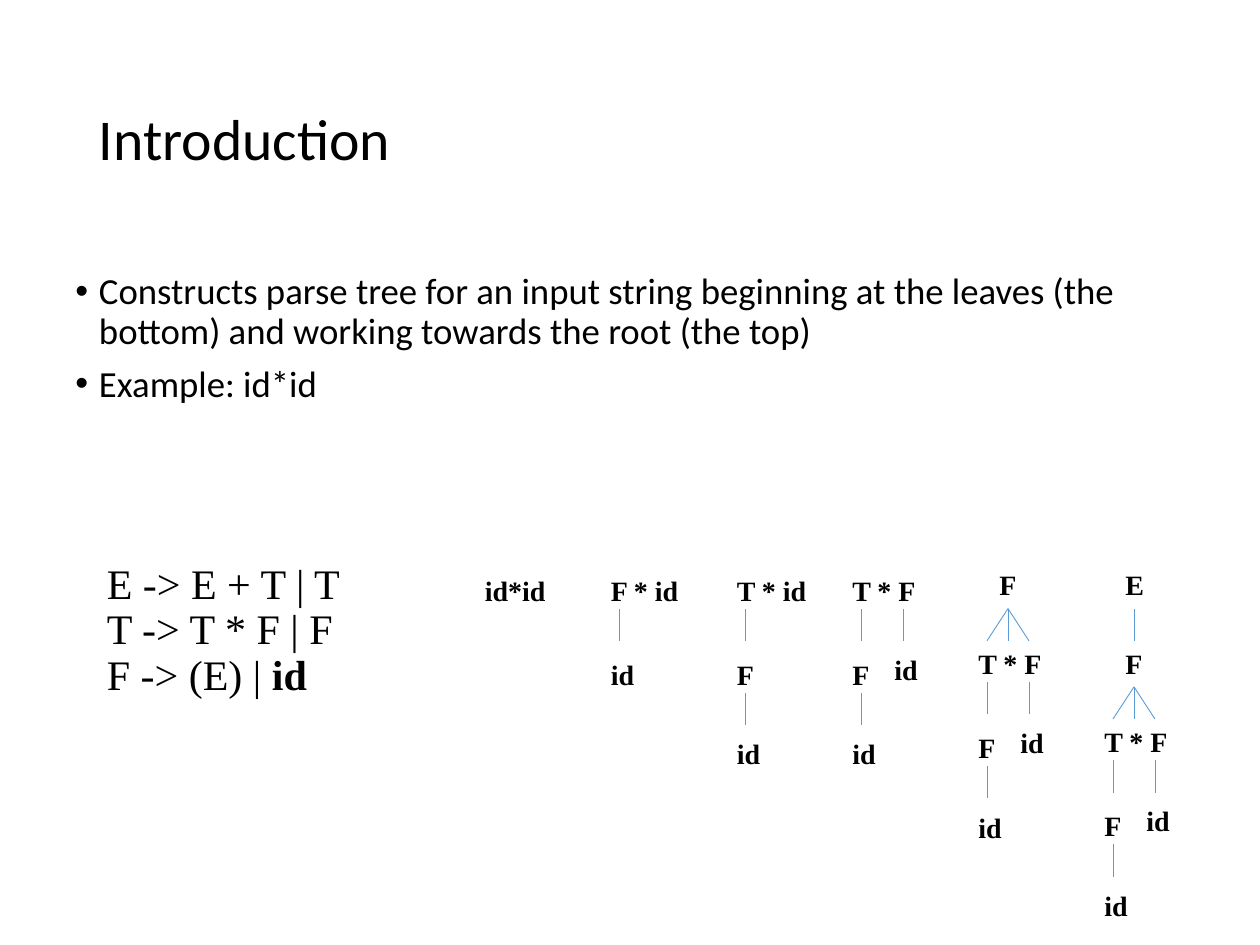
from dataclasses import dataclass

from lxml import etree
from pptx import Presentation
from pptx.dml.color import RGBColor
from pptx.enum.shapes import MSO_CONNECTOR
from pptx.enum.text import MSO_ANCHOR, MSO_AUTO_SIZE
from pptx.oxml.ns import qn
from pptx.util import Pt

STRAIGHT = MSO_CONNECTOR.STRAIGHT
TOP = MSO_ANCHOR.TOP
MIDDLE = MSO_ANCHOR.MIDDLE
FIT_SHAPE = MSO_AUTO_SIZE.SHAPE_TO_FIT_TEXT
FIT_NONE = MSO_AUTO_SIZE.NONE


@dataclass(frozen=True)
class Theme:
    """Colours, fonts and type sizes of the slide."""
    text: RGBColor = RGBColor(0x00, 0x00, 0x00)
    edge: RGBColor = RGBColor(0x5B, 0x9B, 0xD5)
    sans: str = "Calibri"
    serif: str = "Times New Roman"
    title_size: float = 33
    body_size: float = 21
    grammar_size: float = 24
    node_size: float = 16
    edge_width: float = 0.5


THEME = Theme()
NODE_HEIGHT = 26.6
NODE_WIDTHS = {"id": 27.7, "F": 24.2, "E": 25.1, "id*id": 54}
ROOT_WIDTH = 60
LEVELS = (0, 48, 93.6)
EDGE_DROP = 24
EDGE_LENGTH = 18.4
EDGE_INSET = 12
FAN_SPREAD = 12


def add_text(slide, paragraphs, left, top, width, height, *, font, size, bold=False,
             line_spacing=1.0, space_before=0, indent=0, bullet=None,
             anchor=TOP, wrap=True, auto_size=FIT_NONE):
    """Add a text box whose paragraphs are strings or lists of (text, bold) runs."""
    shape = slide.shapes.add_textbox(Pt(left), Pt(top), Pt(width), Pt(height))
    frame = shape.text_frame
    frame.word_wrap = wrap
    frame.auto_size = auto_size
    frame.vertical_anchor = anchor
    for index, content in enumerate(paragraphs):
        paragraph = frame.add_paragraph() if index else frame.paragraphs[0]
        paragraph.line_spacing = line_spacing
        paragraph.space_before = Pt(space_before if index else 0)
        if indent:
            set_hanging_indent(paragraph, indent, bullet)
        runs = [(content, bold)] if isinstance(content, str) else content
        for text, is_bold in runs:
            run = paragraph.add_run()
            run.text = text
            run.font.name = font
            run.font.size = Pt(size)
            run.font.bold = is_bold
            run.font.color.rgb = THEME.text


def set_hanging_indent(paragraph, indent, bullet):
    """Give a paragraph a hanging indent and, if named, a bullet."""
    properties = paragraph._p.get_or_add_pPr()
    properties.set("marL", str(Pt(indent)))
    properties.set("indent", str(-Pt(indent)))
    if bullet:
        etree.SubElement(properties, qn("a:buFont")).set("typeface", "Arial")
        etree.SubElement(properties, qn("a:buChar")).set("char", bullet)


def add_edge(slide, left, top, shift=0):
    """Draw one tree edge downwards, shifted sideways at its lower end."""
    edge = slide.shapes.add_connector(
        STRAIGHT, Pt(left), Pt(top), Pt(left + shift), Pt(top + EDGE_LENGTH))
    edge.line.color.rgb = THEME.edge
    edge.line.width = Pt(THEME.edge_width)
    etree.SubElement(edge._element.spPr, qn("a:effectLst"))


def add_node(slide, label, left, top):
    """Add the label of one tree node."""
    add_text(slide, [label], left, top, NODE_WIDTHS.get(label, ROOT_WIDTH), NODE_HEIGHT,
             font=THEME.serif, size=THEME.node_size, bold=True,
             wrap=len(label) > 2, auto_size=FIT_SHAPE)


def add_chain(slide, labels, left, top):
    """Stack labels downwards and join them by edges."""
    for index, label in enumerate(labels):
        add_node(slide, label, left, top + LEVELS[index])
        if index:
            add_edge(slide, left + EDGE_INSET, top + LEVELS[index - 1] + EDGE_DROP)


def add_product(slide, left, top):
    """Add the tree of T * F with both of its branches."""
    add_chain(slide, ["T * F", "F", "id"], left, top)
    add_node(slide, "id", left + 24, top + 45.4)
    add_edge(slide, left + 36, top + EDGE_DROP)


def add_fan(slide, left, top):
    """Add a node F with three edges and the product tree below it."""
    add_node(slide, "F", left + 12, top)
    for shift in (0, -FAN_SPREAD, FAN_SPREAD):
        add_edge(slide, left + 24, top + 26.8, shift)
    add_product(slide, left, top + 44.8)


def main():
    """Build and save the slide."""
    presentation = Presentation()
    presentation.slide_width, presentation.slide_height = Pt(720), Pt(540)
    slide = presentation.slides.add_slide(presentation.slide_layouts[6])

    add_text(slide, ["Introduction"], 49.5, 28.8, 621.4, 104.4, font=THEME.sans,
             size=THEME.title_size, line_spacing=0.9, anchor=MIDDLE)
    add_text(slide, ["Constructs parse tree for an input string beginning at the leaves "
                     "(the bottom) and working towards the root (the top)",
                     "Example: id*id"],
             36, 152.6, 648, 141.8, font=THEME.sans, size=THEME.body_size,
             line_spacing=0.9, space_before=7.5, indent=13.5, bullet="•")
    add_text(slide, ["E -> E + T | T", "T -> T * F | F", [("F -> (E) | ", False), ("id", True)]],
             54, 318.2, 360, 85, font=THEME.serif, size=THEME.grammar_size,
             line_spacing=0.9, indent=36, auto_size=FIT_SHAPE)

    add_chain(slide, ["id*id"], 270, 324)
    add_chain(slide, ["F * id", "id"], 342, 324)
    add_chain(slide, ["T * id", "F", "id"], 414, 324)
    add_product(slide, 480, 324)
    add_fan(slide, 552, 321)
    add_node(slide, "E", 636, 321)
    add_edge(slide, 648, 348)
    add_fan(slide, 624, 365.7)

    presentation.save("out.pptx")


if __name__ == "__main__":
    main()
